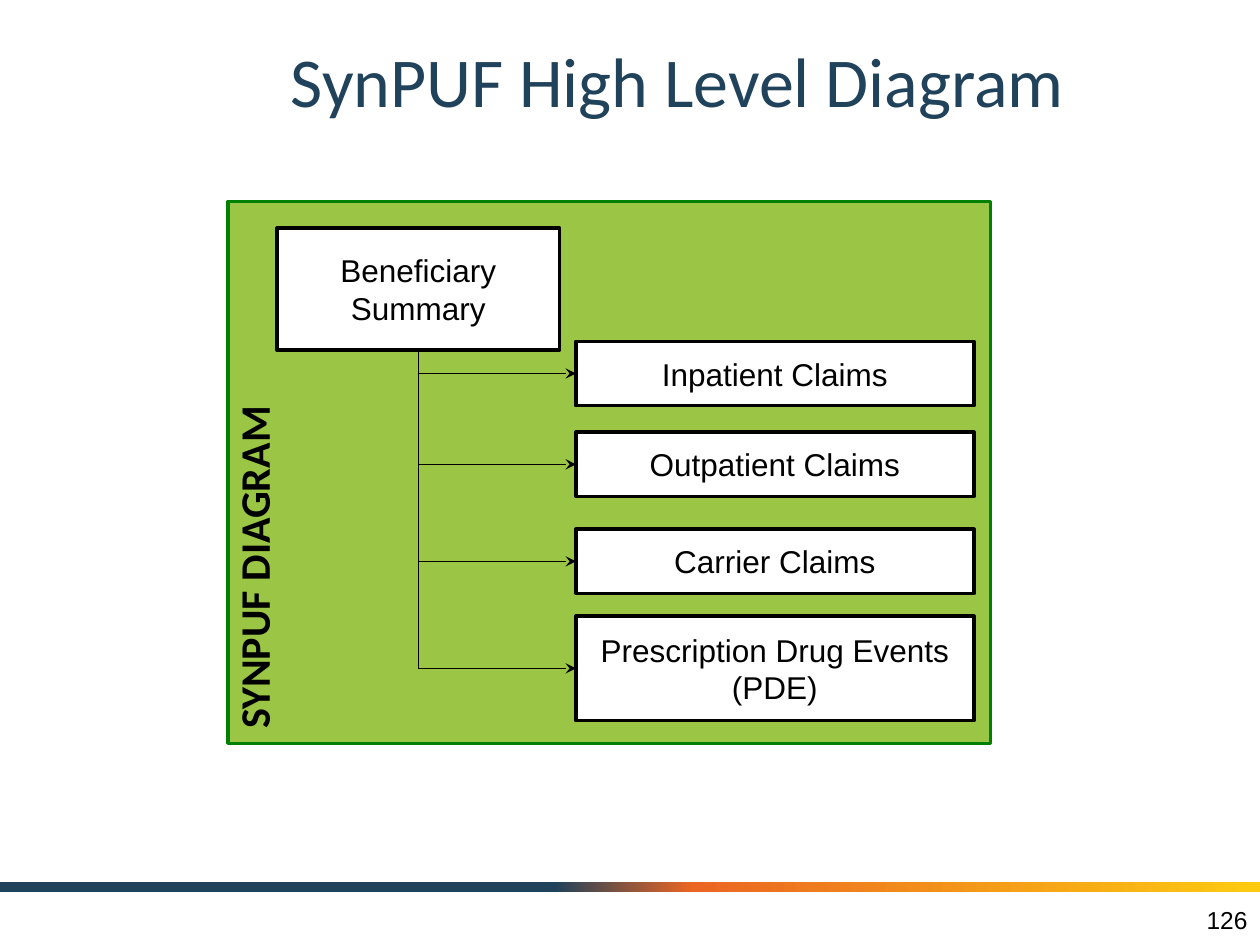
from lxml import etree
from pptx import Presentation
from pptx import util as u
from pptx.dml.color import RGBColor
from pptx.enum import shapes, text
from pptx.oxml import parse_xml
from pptx.oxml.ns import nsdecls, qn

# Content
TITLE = "SynPUF High Level Diagram"
PAGE_NUMBER = "126"
FRAME_LABEL = "SYNPUF DIAGRAM"
PARENT = "Beneficiary Summary"
CLAIMS = [  # wording, top, height
    ("Inpatient Claims", 2.71, 0.51),
    ("Outpatient Claims", 3.43, 0.51),
    ("Carrier Claims", 4.2, 0.51),
    ("Prescription Drug Events (PDE)", 4.89, 0.83),
]
BAR_STOPS = [(0, "20425A"), (44, "20425A"), (55, "EB6622"), (100, "FCCB10")]

# Layout in inches
WIDTH, HEIGHT = 10, 7.5
CLAIM_LEFT, CLAIM_WIDTH = 4.57, 3.16
NAVY, BLACK, WHITE = "20425A", "000000", "FFFFFF"


def color(value):
    return RGBColor.from_string(value)


def write(box, words, size, font="Arial", ink=BLACK, align="CENTER",
          anchor="MIDDLE", bold=False, inset=0.05):
    frame = box.text_frame
    frame.word_wrap = True
    frame.vertical_anchor = getattr(text.MSO_ANCHOR, anchor)
    frame.margin_left = frame.margin_right = u.Inches(0.1)
    frame.margin_top = frame.margin_bottom = u.Inches(inset)
    para = frame.paragraphs[0]
    para.text = words
    para.alignment = getattr(text.PP_ALIGN, align)
    para.font.name, para.font.size = font, u.Pt(size)
    para.font.bold = bold
    para.font.color.rgb = color(ink)


def add_text(parent, place, words, size, **style):
    box = parent.shapes.add_textbox(*map(u.Inches, place))
    write(box, words, size, **style)
    return box


def add_box(parent, place, fill=WHITE, line=BLACK):
    box = parent.shapes.add_shape(shapes.MSO_SHAPE.RECTANGLE, *map(u.Inches, place))
    box.shadow.inherit = False
    box.fill.solid()
    box.fill.fore_color.rgb = color(fill)
    box.line.color.rgb = color(line)
    box.line.width = u.Pt(2)
    return box


def add_gradient_bar(page, place):
    bar = add_box(page, place)
    bar.line.fill.background()
    bar.fill.gradient()
    bar.fill.gradient_angle = 0
    stops = "".join(
        f'<a:gs pos="{share * 1000}"><a:srgbClr val="{value}"/></a:gs>'
        for share, value in BAR_STOPS)
    old = bar._element.spPr.find(".//" + qn("a:gsLst"))
    old.getparent().replace(
        old, parse_xml(f'<a:gsLst {nsdecls("a")}>{stops}</a:gsLst>'))


def add_elbow(parent, source, target):
    """One-bend arrow: down from the source, then right to the target."""
    x1, y1 = source.left + source.width // 2, source.top + source.height
    x2, y2 = target.left, target.top + target.height // 2
    arrow = parent.shapes.add_connector(
        shapes.MSO_CONNECTOR.ELBOW, x1, y1, x2, y2)
    arrow.begin_connect(source, 2)
    arrow.end_connect(target, 1)
    arrow.line.color.rgb = color(BLACK)
    arrow.line.width = u.Pt(0.75)
    # The single-bend preset lies on its side, so it is turned and mirrored
    run, drop = x2 - x1, y2 - y1
    arrow.left, arrow.top = (x1 + x2 - drop) // 2, (y1 + y2 - run) // 2
    arrow.width, arrow.height = drop, run
    props = arrow._element.spPr
    turn = props.find(qn("a:xfrm"))
    turn.set("rot", "16200000")
    turn.set("flipH", "1")
    props.find(qn("a:prstGeom")).set("prst", "bentConnector2")
    etree.SubElement(props.find(qn("a:ln")), qn("a:tailEnd"), type="stealth")
    etree.SubElement(props, qn("a:effectLst"))


def main():
    deck = Presentation()
    deck.slide_width, deck.slide_height = u.Inches(WIDTH), u.Inches(HEIGHT)
    page = deck.slides.add_slide(deck.slide_layouts[6])

    # Footer bar, title and page number
    add_gradient_bar(page, (0, 7, WIDTH, 0.08))
    add_text(page, (1.25, 0.17, 8.25, 0.92), TITLE, 40,
             font="Calibri", ink=NAVY, inset=0.1)
    add_text(page, (7.67, 7.1, 2.33, 0.4), PAGE_NUMBER, 14, align="RIGHT")

    # Green frame with its upright label
    diagram = page.shapes.add_group_shape()
    add_box(diagram, (1.81, 1.6, 6.05, 4.3), "9BC545", "008000")
    label = add_text(diagram, (-0.01, 3.37, 4.28, 0.74), FRAME_LABEL, 24,
                     font="Calibri", align="LEFT", anchor="TOP", bold=True)
    label.rotation = 270

    # Summary box, claim boxes and the arrows between them
    summary = add_box(diagram, (2.2, 1.81, 2.24, 0.97))
    write(summary, PARENT, 18)
    for words, top, height in CLAIMS:
        claim = add_box(diagram, (CLAIM_LEFT, top, CLAIM_WIDTH, height))
        write(claim, words, 18)
        add_elbow(diagram, summary, claim)

    deck.save("out.pptx")


if __name__ == "__main__":
    main()
